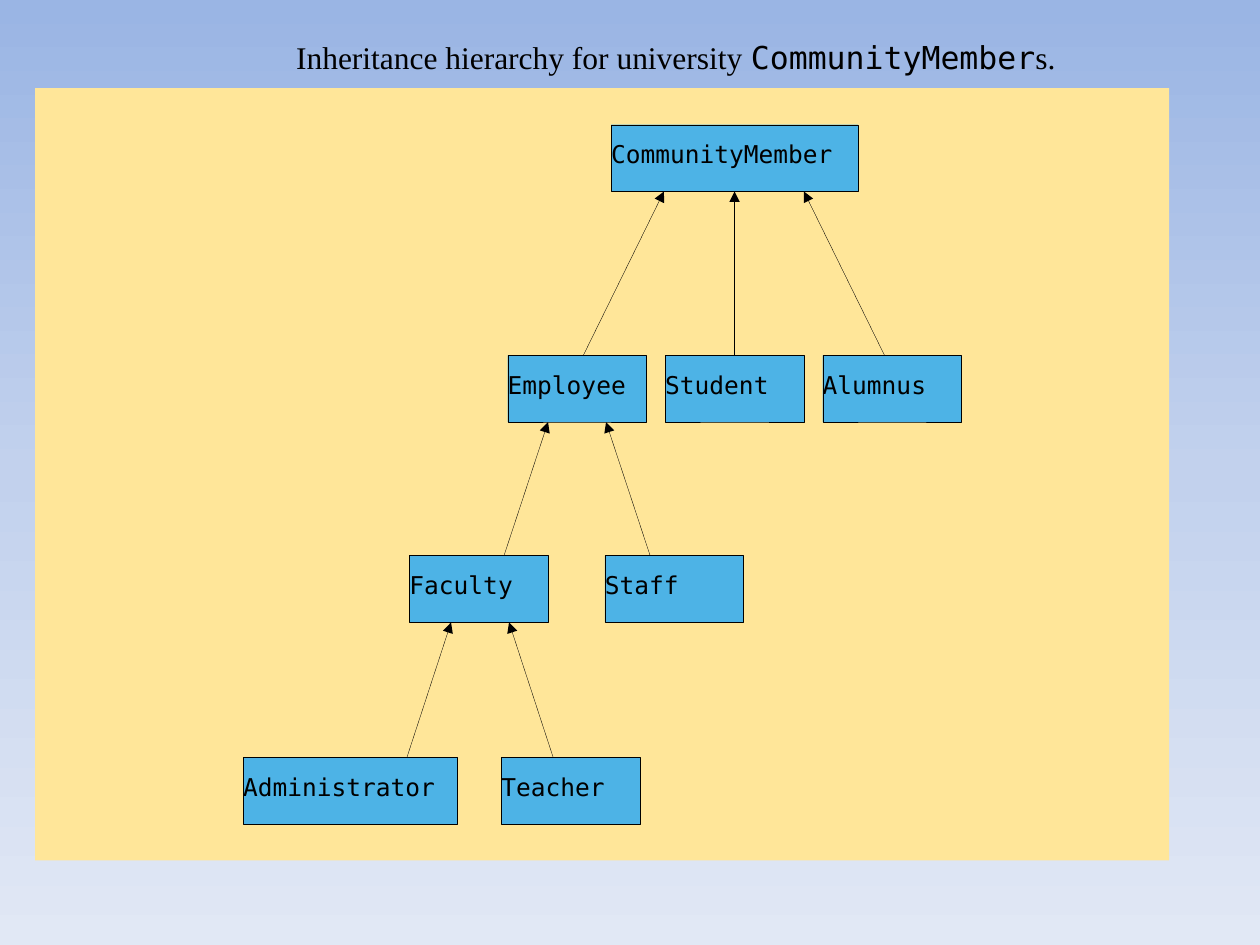
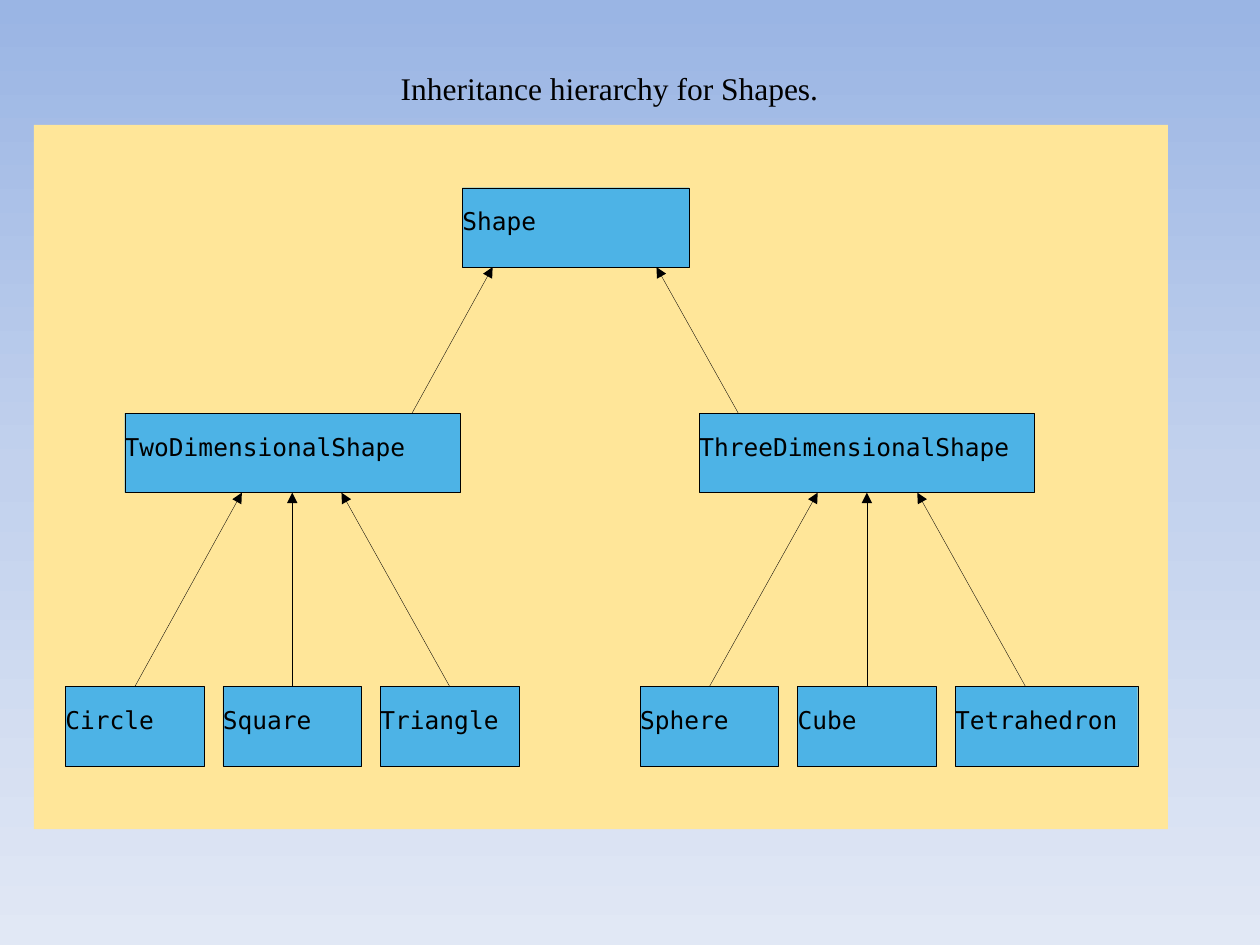
import copy

import pptx
import pptx.dml.color
import pptx.enum.dml
import pptx.enum.shapes
import pptx.enum.text
import pptx.oxml.ns
import pptx.util

Inches = pptx.util.Inches
Pt = pptx.util.Pt
SERIF = "Times New Roman"
MONO = "DejaVu Sans Mono"
BLACK = "000000"
PANEL_FILL = "FFE699"
BOX_FILL = "4DB3E6"
BACKGROUND_STOPS = ((0, "9AB5E4"), (0.5, "C2D1ED"), (1, "E1E8F5"))
LINE_WIDTH = Pt(0.2)
LEAF_WIDTH = 1.1
LEAF_STEP = 1.25
TOP, BOTTOM = 0, 2


def color(value):
    return pptx.dml.color.RGBColor.from_string(value)


def apply_format(target, values):
    for name, value in values.items():
        setattr(target, name, value)


class HierarchyDeck:
    """Draw class hierarchies in one shared style."""

    def __init__(self):
        self.presentation = pptx.Presentation()
        apply_format(self.presentation,
                     {"slide_width": Inches(10), "slide_height": Inches(7.5)})
        self.slide = None
        self.box_height = self.text_offset = 0
        self.paint_background()

    def paint_background(self):
        master = self.presentation.slide_master
        fill = master.background.fill
        fill.gradient()
        fill.gradient_angle = 270
        stop_list = master.element.find(".//" + pptx.oxml.ns.qn("a:gsLst"))
        stop_list.insert(1, copy.deepcopy(stop_list[0]))
        for stop, (position, value) in zip(fill.gradient_stops, BACKGROUND_STOPS):
            stop.position = position
            stop.color.rgb = color(value)

    def add_slide(self, box_height, text_offset):
        self.slide = self.presentation.slides.add_slide(self.presentation.slide_layouts[5])
        self.box_height = box_height
        self.text_offset = text_offset

    def add_text(self, paragraph, text, font, size):
        run = paragraph.add_run()
        run.text = text
        apply_format(run.font, {"name": font, "size": Pt(size), "bold": False})
        run.font.color.rgb = color(BLACK)

    def title(self, left, top, width, runs):
        shape = self.slide.shapes.title
        apply_format(shape, {"left": Inches(left), "top": Inches(top),
                             "width": Inches(width), "height": Inches(0.4)})
        apply_format(shape.text_frame, {"word_wrap": False,
                                        "auto_size": pptx.enum.text.MSO_AUTO_SIZE.NONE,
                                        "vertical_anchor": pptx.enum.text.MSO_ANCHOR.TOP})
        paragraph = shape.text_frame.paragraphs[0]
        paragraph.alignment = pptx.enum.text.PP_ALIGN.LEFT
        for text, font in runs:
            self.add_text(paragraph, text, font, 18)

    def rectangle(self, left, top, width, height, fill):
        shape = self.slide.shapes.add_shape(
            pptx.enum.shapes.MSO_SHAPE.RECTANGLE,
            Inches(left), Inches(top), Inches(width), Inches(height))
        shape.shadow.inherit = False
        shape.fill.solid()
        shape.fill.fore_color.rgb = color(fill)
        shape.line.fill.background()
        return shape

    def class_box(self, name, left, top, width=LEAF_WIDTH):
        shape = self.rectangle(left, top, width, self.box_height, BOX_FILL)
        shape.line.color.rgb = color(BLACK)
        shape.line.width = LINE_WIDTH
        apply_format(shape.text_frame, {"margin_left": 0, "margin_right": 0,
                                        "margin_top": Inches(self.text_offset),
                                        "margin_bottom": 0, "word_wrap": True,
                                        "vertical_anchor": pptx.enum.text.MSO_ANCHOR.TOP})
        paragraph = shape.text_frame.paragraphs[0]
        apply_format(paragraph, {"alignment": pptx.enum.text.PP_ALIGN.LEFT,
                                 "line_spacing": 0.8})
        self.add_text(paragraph, name, MONO, 14)
        return shape

    def leaf_row(self, names, left, top, last_width=LEAF_WIDTH):
        widths = [LEAF_WIDTH] * (len(names) - 1) + [last_width]
        return [self.class_box(name, left + index * LEAF_STEP, top, width)
                for index, (name, width) in enumerate(zip(names, widths))]

    def inherits(self, child, parent, start=None, end=None):
        connector = self.slide.shapes.add_connector(
            pptx.enum.shapes.MSO_CONNECTOR.STRAIGHT,
            Inches(start or 0), child.top, Inches(end or 0), parent.top + parent.height)
        if start is None:
            connector.begin_connect(child, TOP)
        if end is None:
            connector.end_connect(parent, BOTTOM)
        connector.line.color.rgb = color(BLACK)
        connector.line.width = LINE_WIDTH
        properties = connector.element.spPr
        line = properties.find(pptx.oxml.ns.qn("a:ln"))
        head = line.makeelement(pptx.oxml.ns.qn("a:tailEnd"), {"type": "triangle"})
        line.append(head)
        properties.append(line.makeelement(pptx.oxml.ns.qn("a:effectLst"), {}))


def community_slide(deck):
    deck.add_slide(box_height=0.53, text_offset=0.16)
    deck.title(2.25, 0.25, 6.31, [("Inheritance hierarchy for university ", SERIF),
                                  ("CommunityMember", MONO), ("s.", SERIF)])
    deck.rectangle(0.28, 0.7, 9, 6.13, PANEL_FILL)
    member = deck.class_box("CommunityMember", 4.85, 0.99, 1.96)
    employee, student, alumnus = deck.leaf_row(["Employee", "Student", "Alumnus"], 4.03, 2.82)
    faculty = deck.class_box("Faculty", 3.25, 4.41)
    staff = deck.class_box("Staff", 4.8, 4.41)
    administrator = deck.class_box("Administrator", 1.93, 6.01, 1.7)
    teacher = deck.class_box("Teacher", 3.98, 6.01)
    for child, parent, start, end in (
            (student, member, None, None),
            (employee, member, 4.63, 5.27), (alumnus, member, 7.02, 6.38),
            (faculty, employee, 4, 4.35), (staff, employee, 5.16, 4.81),
            (administrator, faculty, 3.23, 3.58), (teacher, faculty, 4.39, 4.04)):
        deck.inherits(child, parent, start, end)


def shapes_slide(deck):
    deck.add_slide(box_height=0.63, text_offset=0.19)
    deck.title(3.08, 0.5, 4.16, [("Inheritance hierarchy for Shapes.", SERIF)])
    deck.rectangle(0.27, 0.99, 9, 5.59, PANEL_FILL)
    base = deck.class_box("Shape", 3.67, 1.49, 1.8)
    flat = deck.class_box("TwoDimensionalShape", 0.99, 3.28, 2.66)
    solid = deck.class_box("ThreeDimensionalShape", 5.55, 3.28, 2.66)
    circle, square, triangle = deck.leaf_row(["Circle", "Square", "Triangle"], 0.52, 5.45)
    sphere, cube, tetrahedron = deck.leaf_row(
        ["Sphere", "Cube", "Tetrahedron"], 5.08, 5.45, last_width=1.45)
    for child, parent, start, end in (
            (flat, base, 3.27, 3.91), (solid, base, 5.86, 5.21),
            (circle, flat, None, 1.92), (square, flat, None, None),
            (triangle, flat, None, 2.71), (sphere, solid, None, 6.49),
            (cube, solid, None, None), (tetrahedron, solid, 8.14, 7.28)):
        deck.inherits(child, parent, start, end)


def main():
    deck = HierarchyDeck()
    community_slide(deck)
    shapes_slide(deck)
    deck.presentation.save("out.pptx")


if __name__ == "__main__":
    main()
